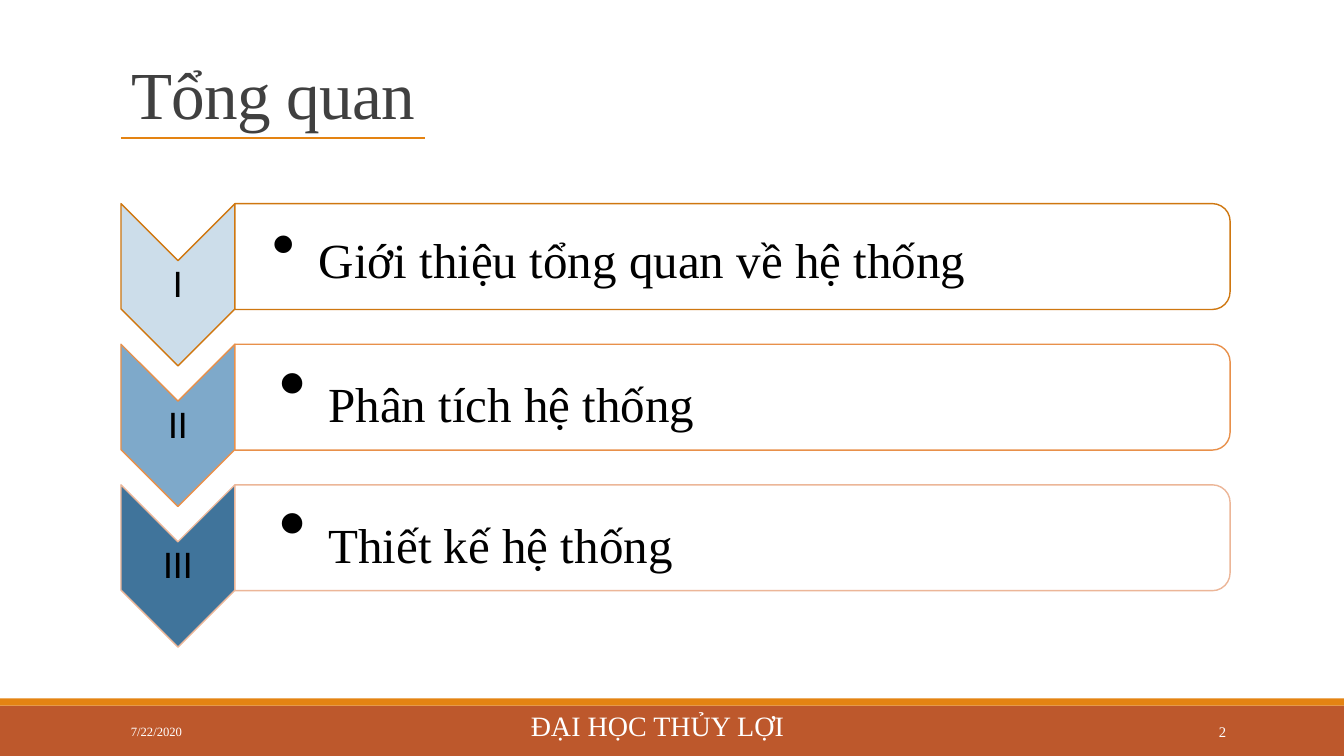
from lxml import etree
from pptx import Presentation, util as u
from pptx.dml.color import RGBColor
from pptx.enum import shapes, text
from pptx.oxml.ns import qn

WHITE = RGBColor(0xFF, 0xFF, 0xFF)
BLACK = RGBColor(0, 0, 0)
GREY = RGBColor(0x40, 0x40, 0x40)
RUST = RGBColor(0xBD, 0x58, 0x2C)
AMBER = RGBColor(0xE4, 0x83, 0x12)
SERIF, SANS = "Times New Roman", "Calibri"
MID, LOW = text.MSO_ANCHOR.MIDDLE, text.MSO_ANCHOR.BOTTOM
LEFT, MIDST, RIGHT = text.PP_ALIGN.LEFT, text.PP_ALIGN.CENTER, text.PP_ALIGN.RIGHT

TITLE = "Tổng quan"
# numeral, topic, arrow fill, outline, bullet size, left inset, other insets
STEPS = [
    ("I", "Giới thiệu tổng quan về hệ thống",
     RGBColor(0xCC, 0xDD, 0xEA), RGBColor(0xCF, 0x77, 0x10), 48, 0.37, 0.03),
    ("II", "Phân tích hệ thống",
     RGBColor(0x7E, 0xA9, 0xCA), RGBColor(0xE8, 0x90, 0x4A), 56, 0.44, 0.04),
    ("III", "Thiết kế hệ thống",
     RGBColor(0x40, 0x74, 0x9B), RGBColor(0xEC, 0xB6, 0x98), 56, 0.44, 0.04),
]
FOOTER = [
    ("7/22/2020", (1.2, 7.06, 2.7, 0.4), 9, LEFT),
    ("ĐẠI HỌC THỦY LỢI ", (2.61, 6.93, 7.89, 0.54), 20, MIDST),
    ("2", (10.83, 7.06, 1.43, 0.4), 10.5, RIGHT),
]
EDGE, TOP, PITCH = 1.2, 2.02, 1.395
ARROW_W, ARROW_H = 1.13, 1.61
BAR_W, BAR_H = 9.87, 1.05

deck = Presentation()
deck.slide_width, deck.slide_height = u.Inches(13.33), u.Inches(7.5)
slide = deck.slides.add_slide(deck.slide_layouts[5])


def place(box):
    return [u.Inches(n) for n in box]


def draw(kind, box, fill, line=None):
    shape = slide.shapes.add_shape(kind, *place(box))
    shape.shadow.inherit = False
    shape.fill.solid()
    shape.fill.fore_color.rgb = fill
    if line is None:
        shape.line.fill.background()
    else:
        shape.line.color.rgb = line
        shape.line.width = u.Pt(1)
    return shape


def turn(kind, box, fill, line):
    """Draw a shape a quarter turn clockwise so that it fills the box."""
    x, y, w, h = box
    flat = (x + (w - h) / 2, y + (h - w) / 2, h, w)
    shape = draw(kind, flat, fill, line)
    shape.rotation = 90
    return shape


def setup(frame, anchor, insets=(0.1, 0.05, 0.1, 0.05)):
    frame.word_wrap = True
    frame.auto_size = text.MSO_AUTO_SIZE.NONE
    frame.vertical_anchor = anchor
    (frame.margin_left, frame.margin_top,
     frame.margin_right, frame.margin_bottom) = place(insets)


def write(frame, runs, align, space=1.0):
    """Fill the first paragraph with (words, size, font, colour) runs."""
    para = frame.paragraphs[0]
    para.alignment = align
    para.line_spacing = space
    for words, size, face, ink in runs:
        run = para.add_run()
        run.text = words
        run.font.size, run.font.name = u.Pt(size), face
        run.font.color.rgb = ink
    return para


def label(box, runs, align, space=1.0, **opts):
    frame = slide.shapes.add_textbox(*place(box)).text_frame
    setup(frame, MID, **opts)
    return write(frame, runs, align, space)


def bullet(para):
    props = para._p.get_or_add_pPr()
    props.set("marL", str(u.Inches(0.31)))
    props.set("indent", str(-u.Inches(0.31)))
    etree.SubElement(props, qn("a:buChar")).set("char", "•")


draw(shapes.MSO_SHAPE.RECTANGLE, (0, 7, 13.33, 0.5), RUST)
draw(shapes.MSO_SHAPE.RECTANGLE, (0, 6.93, 13.33, 0.07), AMBER)

head = slide.shapes.title
head.left, head.top, head.width, head.height = place((EDGE, 0.49, 3.27, 0.88))
setup(head.text_frame, LOW)
para = write(head.text_frame, [(TITLE, 48, SERIF, GREY)], LEFT, 0.85)
para.runs[0].font._element.set("spc", "-50")

for i, (num, topic, fill, line, size, inset, pad) in enumerate(STEPS):
    y = TOP + i * PITCH
    turn(shapes.MSO_SHAPE.CHEVRON, (EDGE, y, ARROW_W, ARROW_H), fill, line)
    label((EDGE, y + ARROW_W / 2, ARROW_W, ARROW_H - ARROW_W),
          [(num, 28, SANS, BLACK)], MIDST, 0.9, insets=[0.02] * 4)
    x = EDGE + ARROW_W
    turn(shapes.MSO_SHAPE.ROUND_2_SAME_RECTANGLE, (x, y, BAR_W, BAR_H), WHITE, line)
    para = label((x, y + 0.05, BAR_W - 0.05, BAR_H - 0.1),
                 [(" ", size, SANS, BLACK), (topic, 35, SERIF, BLACK)],
                 LEFT, 0.9, insets=(inset, pad, pad, pad))
    bullet(para)

for words, box, size, align in FOOTER:
    label(box, [(words, size, SERIF, WHITE)], align)

rule = slide.shapes.add_connector(
    shapes.MSO_CONNECTOR.STRAIGHT, *place((EDGE, 1.37, 4.22, 1.37)))
rule.line.color.rgb = AMBER
rule.line.width = u.Pt(1.5)
etree.SubElement(rule._element.spPr, qn("a:effectLst"))

deck.save("out.pptx")
